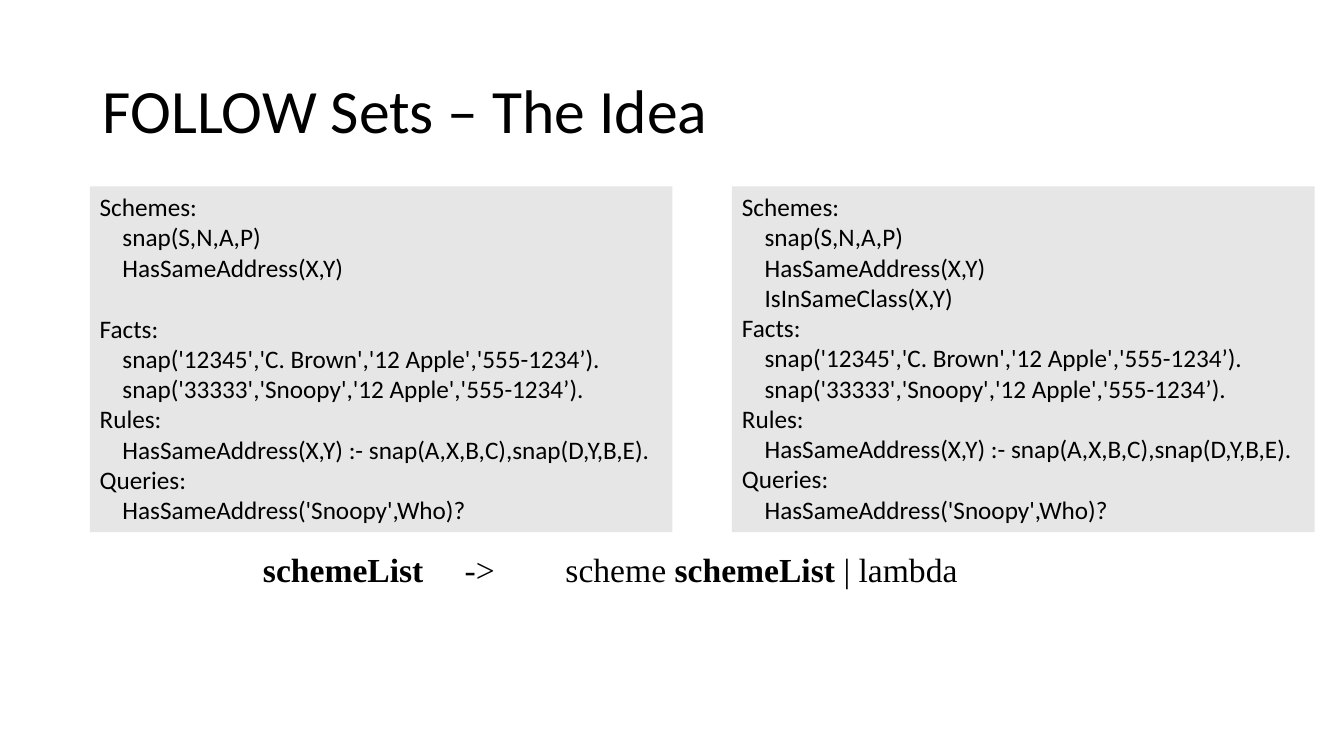
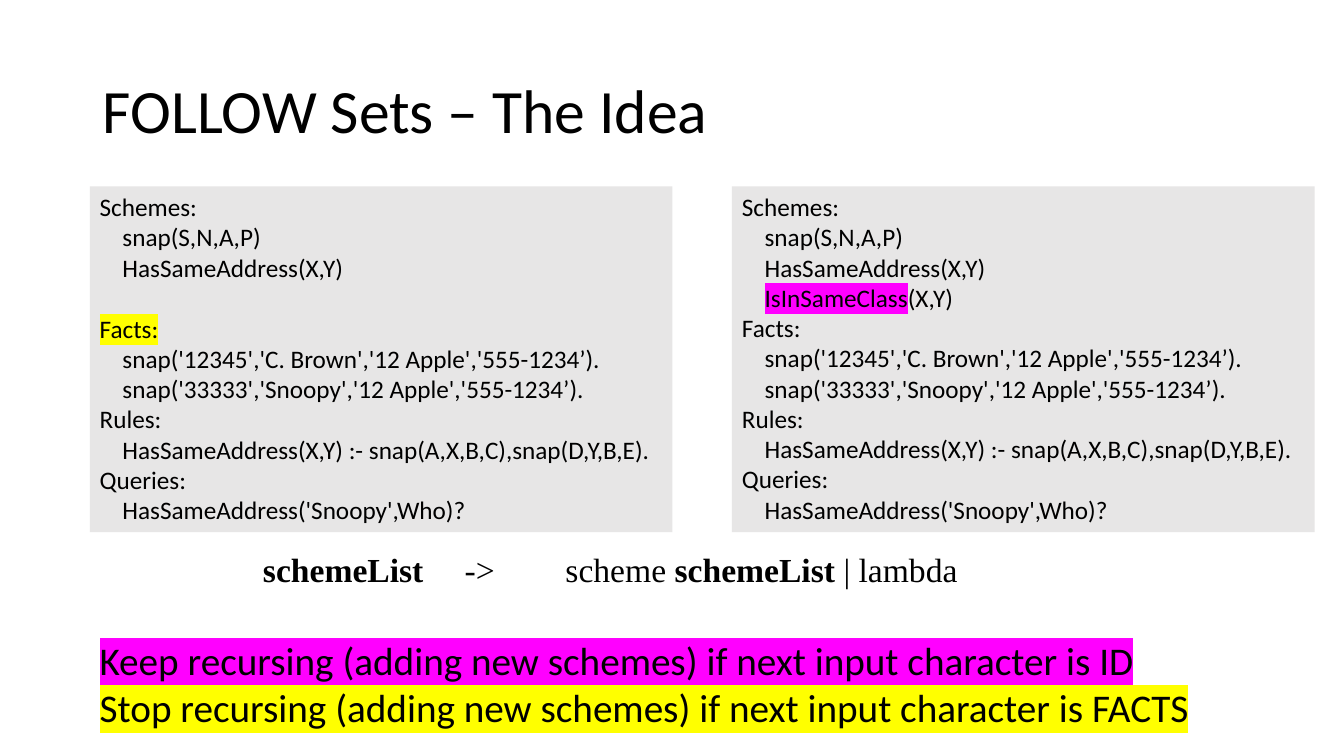
from dataclasses import dataclass

import pptx
import pptx.dml.color
import pptx.enum.text
import pptx.oxml
import pptx.oxml.ns
import pptx.util
from pptx.util import Inches


@dataclass(frozen=True)
class Theme:
    text: str = "000000"
    panel: str = "E7E6E6"
    proceed: str = "FF00FF"
    stop: str = "FFFF00"
    sans: str = "Calibri"
    serif: str = "Times New Roman"
    title_size: int = 44
    code_size: int = 18
    grammar_size: int = 24
    note_size: int = 28
    code_line: int = 22


THEME = Theme()


def rgb(value):
    return pptx.dml.color.RGBColor.from_string(value)


def xml(markup):
    head, rest = markup.split(" ", 1)
    return pptx.oxml.parse_xml(f"{head} {pptx.oxml.ns.nsdecls('a')} {rest}")


class Deck:
    def __init__(self, theme):
        self.theme = theme
        self.prs = pptx.Presentation()
        self.prs.slide_width, self.prs.slide_height = Inches(13.33), Inches(7.5)
        self.s = None

    def run(self, p, text, size, name, bold=False, highlight=None):
        r = p.add_run()
        r.text = text
        values = {"size": pptx.util.Pt(size), "name": name, "bold": bold}
        for key, value in values.items():
            setattr(r.font, key, value)
        r.font.color.rgb = rgb(self.theme.text)
        if highlight:
            mark = xml(f'<a:highlight ><a:srgbClr val="{highlight}"/></a:highlight>')
            fill = r.font.fill._xPr.find(pptx.oxml.ns.qn("a:solidFill"))
            fill.addnext(mark)

    def slide(self, title):
        self.s = self.prs.slides.add_slide(self.prs.slide_layouts[5])
        sp = self.s.shapes.title
        place = {"left": 0.92, "top": 0.4, "width": 11.5, "height": 1.45}
        for key, value in place.items():
            setattr(sp, key, Inches(value))
        sp.text_frame.vertical_anchor = pptx.enum.text.MSO_ANCHOR.MIDDLE
        p = sp.text_frame.paragraphs[0]
        p.alignment = pptx.enum.text.PP_ALIGN.LEFT
        p.line_spacing = 0.9
        self.run(p, title, self.theme.title_size, self.theme.sans)

    def text(self, left, top, width, height, lines, size, name):
        """Add a text box; each line is a list of (text, run formats) pairs."""
        sp = self.s.shapes.add_textbox(*map(Inches, (left, top, width, height)))
        tf = sp.text_frame
        tf.word_wrap = True
        for i, line in enumerate(lines):
            p = tf.add_paragraph() if i else tf.paragraphs[0]
            for text, formats in line:
                self.run(p, text, size, name, **formats)
        return sp

    def code(self, left, lines, gap_before=None):
        """Add a code panel, leaving one line free before line gap_before."""
        sp = self.text(left, 1.85, 5.78, 3.43, lines,
                       self.theme.code_size, self.theme.sans)
        sp.fill.solid()
        sp.fill.fore_color.rgb = rgb(self.theme.panel)
        if gap_before is not None:
            p = sp.text_frame.paragraphs[gap_before]
            p.space_before = pptx.util.Pt(self.theme.code_line)

    def grammar(self, runs):
        sp = self.text(2.51, 5.4, 9.08, 0.5, [runs],
                       self.theme.grammar_size, self.theme.serif)
        stops = "".join(f'<a:tab pos="{Inches(x)}" algn="l"/>' for x in (2, 3))
        pPr = sp.text_frame.paragraphs[0]._p.get_or_add_pPr()
        pPr.append(xml(f"<a:tabLst >{stops}</a:tabLst>"))

    def notes(self, lines):
        self.text(0.89, 6.26, 11.13, 1.04, lines,
                  self.theme.note_size, self.theme.sans)


SCHEMES = ["Schemes:", "    snap(S,N,A,P)", "    HasSameAddress(X,Y)"]
REST = [
    "    snap('12345','C. Brown','12 Apple','555-1234’).",
    "    snap('33333','Snoopy','12 Apple','555-1234’).",
    "Rules:",
    "    HasSameAddress(X,Y) :- snap(A,X,B,C),snap(D,Y,B,E).",
    "Queries:",
    "    HasSameAddress('Snoopy',Who)?",
]
BOLD = {"bold": True}
GRAMMAR = [("schemeList", BOLD), ("\t->\tscheme ", {}),
           ("schemeList", BOLD), (" | lambda", {})]


def plain(lines):
    return [[(line, {})] for line in lines]


def idea_slide(deck, marked):
    proceed = {"highlight": THEME.proceed}
    stop = {"highlight": THEME.stop}
    facts = [("Facts:", stop if marked else {})]
    added = [("    ", {}), ("IsInSameClass", proceed if marked else {}), ("(X,Y)", {})]

    deck.slide("FOLLOW Sets – The Idea")
    deck.code(0.89, plain(SCHEMES) + [facts] + plain(REST), gap_before=len(SCHEMES))
    deck.code(7.26, plain(SCHEMES) + [added] + plain(["Facts:"] + REST))
    deck.grammar(GRAMMAR)
    if marked:
        deck.notes([
            [("Keep recursing (adding new schemes) if next input character is ID", proceed)],
            [("Stop recursing (adding new schemes) if next input character is FACTS", stop)],
        ])


def main():
    deck = Deck(THEME)
    for marked in (False, True):
        idea_slide(deck, marked)
    deck.prs.save("out.pptx")


if __name__ == "__main__":
    main()
